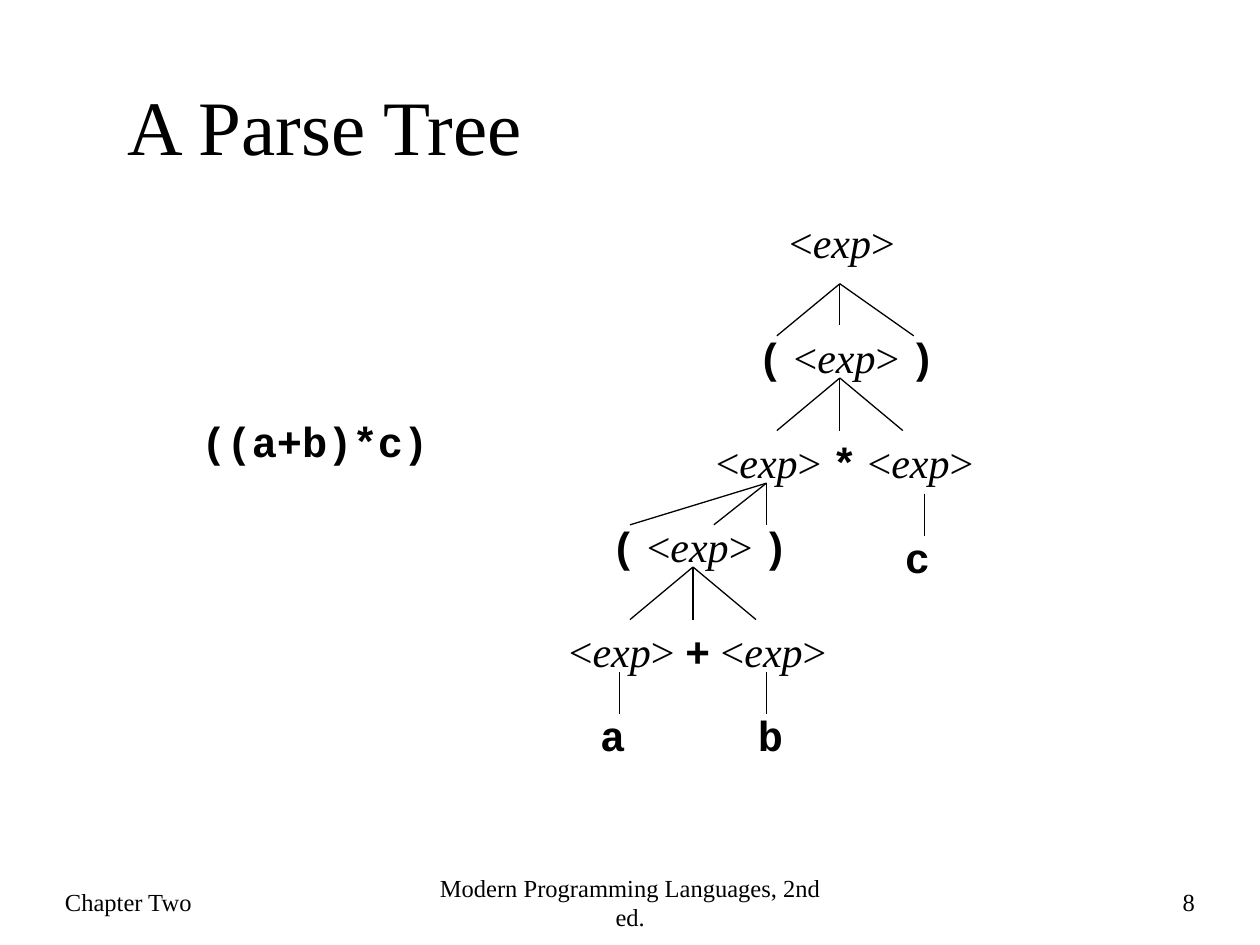
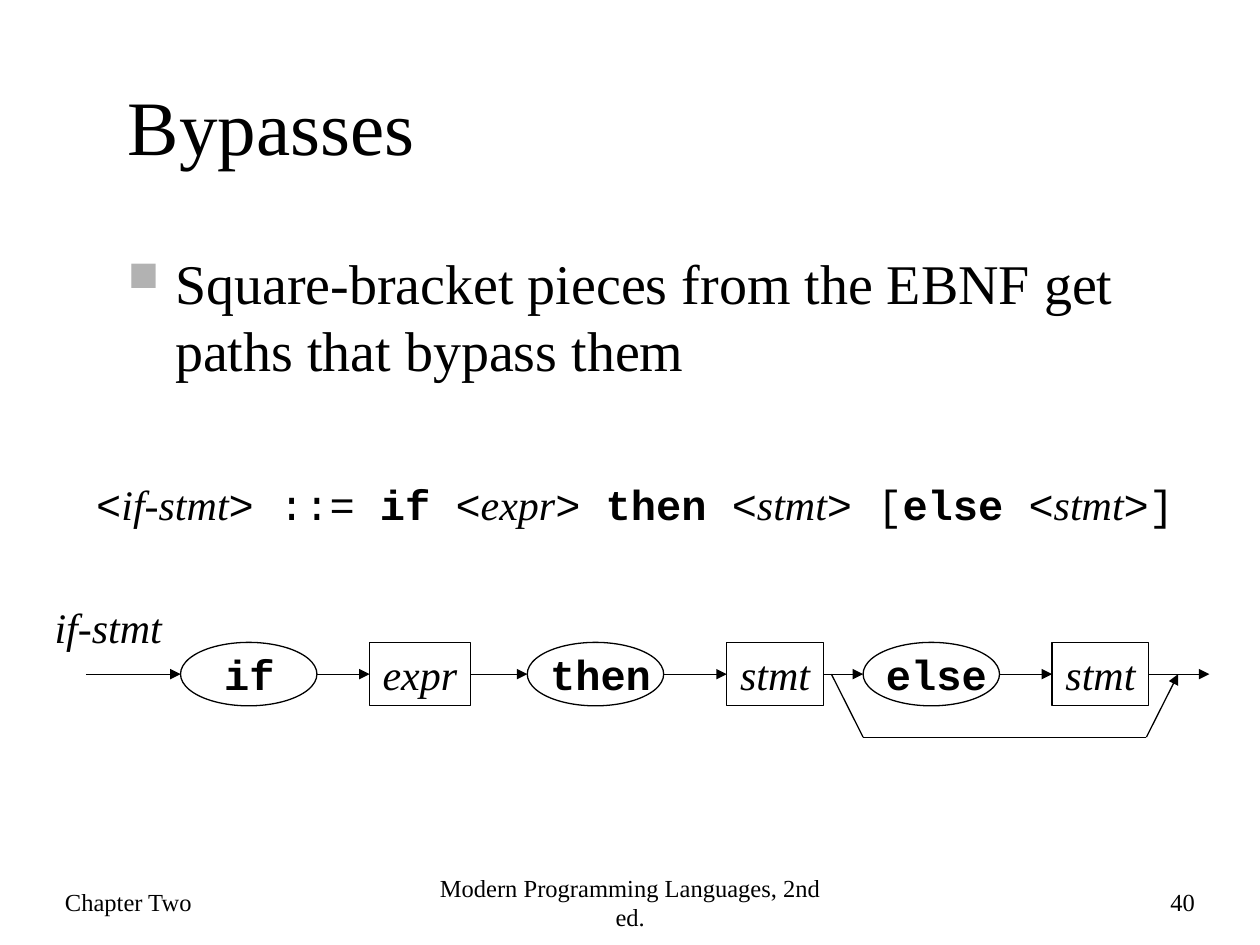
from lxml import etree
from pptx import Presentation
from pptx.dml.color import RGBColor
from pptx.enum.shapes import MSO_CONNECTOR, MSO_SHAPE
from pptx.enum.text import MSO_ANCHOR, PP_ALIGN
from pptx.oxml.ns import qn
from pptx.util import Cm, Pt

STRAIGHT = MSO_CONNECTOR.STRAIGHT
OVAL, RECTANGLE = MSO_SHAPE.OVAL, MSO_SHAPE.RECTANGLE
TOP, MIDDLE = MSO_ANCHOR.TOP, MSO_ANCHOR.MIDDLE
LEFT, CENTER, RIGHT = PP_ALIGN.LEFT, PP_ALIGN.CENTER, PP_ALIGN.RIGHT
LEFT_SIDE, RIGHT_SIDE = 1, 3

BLACK = RGBColor(0x00, 0x00, 0x00)
BULLET_GRAY = RGBColor(0xB2, 0xB2, 0xB2)
LINE_WIDTH = Pt(0.75)

# Text styles: font, bold, italic
SERIF = ("Times New Roman", False, False)
ITALIC = ("Times New Roman", False, True)
MONO = ("Courier New", False, False)
TOKEN = ("Courier New", True, False)


def add_text(page, spans, left, top, width, height=1.27, size=24, align=LEFT,
             anchor=TOP, wrap=True, space_before=0, outline=None):
    """Write (text, style) spans in a text box, or in an outlined shape; lengths in cm."""
    place = [Cm(length) for length in (left, top, width, height)]
    if outline is None:
        box = page.shapes.add_textbox(*place)
    else:
        box = page.shapes.add_shape(outline, *place)
        box.shadow.inherit = False
        box.fill.background()
        box.line.color.rgb = BLACK
        box.line.width = LINE_WIDTH
    frame = box.text_frame
    frame.word_wrap = wrap
    frame.vertical_anchor = anchor
    para = frame.paragraphs[0]
    para.alignment = align
    para.space_before = Pt(space_before)
    for text, (font, bold, italic) in spans:
        span = para.add_run()
        span.text = text
        span.font.name = font
        span.font.size = Pt(size)
        span.font.bold = bold
        span.font.italic = italic
        span.font.color.rgb = BLACK
    return box


def add_line(page, start, end, arrow=False):
    line = page.shapes.add_connector(STRAIGHT, *[Cm(length) for length in start + end])
    line.line.color.rgb = BLACK
    line.line.width = LINE_WIDTH
    if arrow:
        etree.SubElement(line.line._get_or_add_ln(), qn("a:tailEnd"), type="triangle")
    etree.SubElement(line._element.spPr, qn("a:effectLst"))
    return line


deck = Presentation()
deck.slide_width, deck.slide_height = Cm(25.4), Cm(19.05)

# Title and footer of every slide
pages = []
for title, number in (("A Parse Tree", "8"), ("Bypasses", "40")):
    page = deck.slides.add_slide(deck.slide_layouts[6])
    add_text(page, [(title, SERIF)], 2.33, 0.97, 21.59, 3.07, size=44, anchor=MIDDLE)
    for text, left, width, align in (
        ("Chapter Two", 1.06, 5.72, LEFT),
        ("Modern Programming Languages, 2nd ed.", 8.47, 8.47, CENTER),
        (number, 19.05, 5.29, RIGHT),
    ):
        add_text(page, [(text, SERIF)], left, 17.55, width, size=14,
                 align=align, anchor=MIDDLE)
    pages.append(page)
tree_page, bypass_page = pages

# Parse tree
EXP = [("<", SERIF), ("exp", ITALIC), (">", SERIF)]
SPACE = [(" ", SERIF)]
PARENTHESES = [("(", TOKEN)] + SPACE + EXP + SPACE + [(")", TOKEN)]
PRODUCT = EXP + SPACE + [("*", TOKEN)] + SPACE + EXP
SUM = EXP + SPACE + [("+", TOKEN)] + SPACE + EXP

for spans, left, top, width in (
    (EXP, 15.66, 4.23, 2.96),
    (PARENTHESES, 15.03, 6.56, 4.45),
    (PRODUCT, 14.18, 8.68, 7.2),
    (PARENTHESES, 12.07, 10.37, 4.45),
    (SUM, 11.22, 12.49, 6.14),
    ([("a", TOKEN)], 11.85, 14.18, 1.27),
    ([("b", TOKEN)], 15.03, 14.18, 1.27),
    ([("c", TOKEN)], 17.99, 10.58, 1.27),
    ([("((a+b)*c)", TOKEN)], 3.81, 8.26, 8.47),
):
    add_text(tree_page, spans, left, top, width)

for parent, children in (
    ((16.93, 5.72), [(15.66, 6.77), (16.93, 6.56), (18.42, 6.77)]),
    ((16.93, 7.62), [(15.66, 8.68), (16.93, 8.68), (18.2, 8.68)]),
    ((15.45, 9.74), [(12.7, 10.58), (14.39, 10.58), (15.45, 10.58)]),
    ((18.63, 9.95), [(18.63, 10.8)]),
    ((13.97, 11.43), [(12.7, 12.49), (13.97, 12.49), (15.24, 12.49)]),
    ((12.49, 13.55), [(12.49, 14.39)]),
    ((15.45, 13.55), [(15.45, 14.39)]),
):
    for child in children:
        add_line(tree_page, parent, child)

# Bulleted statement
statement = add_text(
    bypass_page,
    [("Square-bracket pieces from the EBNF get paths that bypass them", SERIF)],
    2.33, 4.88, 21.59, 6.15, size=32, space_before=6.4)
bullet = statement.text_frame.paragraphs[0]._p.get_or_add_pPr()
bullet.set("marL", str(Cm(0.95)))
bullet.set("indent", str(-Cm(0.95)))
bullet_color = etree.SubElement(bullet, qn("a:buClr"))
etree.SubElement(bullet_color, qn("a:srgbClr"), val=str(BULLET_GRAY))
etree.SubElement(bullet, qn("a:buSzPct"), val="75000")
etree.SubElement(bullet, qn("a:buChar"), char="■")

# Grammar rule
add_text(bypass_page, [
    ("<", MONO), ("if-stmt", ITALIC), ("> ::= ", MONO), ("if", TOKEN),
    (" <", MONO), ("expr", ITALIC), ("> ", MONO), ("then", TOKEN),
    (" <", MONO), ("stmt", ITALIC), ("> [", MONO), ("else", TOKEN),
    (" <", MONO), ("stmt", ITALIC), (">]", MONO),
], 1.69, 9.53, 22.86, space_before=12)

# Syntax diagram: stations along one track
TRACK_Y = 13.59
STATION_HEIGHT = 1.28
TRACK_START, TRACK_END = 1.73, 24.38
OVAL_WIDTH = 2.75
station_top = TRACK_Y - STATION_HEIGHT / 2

add_text(bypass_page, [("if-stmt", ITALIC)], 0.85, 12.01, 2.67, wrap=False)

previous, previous_right = None, TRACK_START
for word, left, width, label_left, label_width in (
    ("if", 3.64, OVAL_WIDTH, 4.27, 1.52),
    ("expr", 7.45, 2.03, None, None),
    ("then", 10.63, OVAL_WIDTH, 10.84, 2.54),
    ("stmt", 14.65, 1.95, None, None),
    ("else", 17.4, OVAL_WIDTH, 17.61, 2.54),
    ("stmt", 21.21, 1.95, None, None),
):
    arrow = add_line(bypass_page, (previous_right, TRACK_Y), (left, TRACK_Y), arrow=True)
    if previous is not None:
        arrow.begin_connect(previous, RIGHT_SIDE)
    if label_left is None:
        previous = add_text(bypass_page, [(word, ITALIC)], left, station_top, width,
                            STATION_HEIGHT, align=CENTER, anchor=MIDDLE, wrap=False,
                            outline=RECTANGLE)
        arrow.end_connect(previous, LEFT_SIDE)
    else:
        add_text(bypass_page, [], left, station_top, width, STATION_HEIGHT, outline=OVAL)
        add_text(bypass_page, [(word, TOKEN)], label_left, station_top, label_width,
                 wrap=False)
        previous = None
    previous_right = left + width
exit_arrow = add_line(bypass_page, (previous_right, TRACK_Y), (TRACK_END, TRACK_Y), arrow=True)
exit_arrow.begin_connect(previous, RIGHT_SIDE)

# Bypass under the optional else part
BYPASS_Y = TRACK_Y + 1.27
corners = [(16.76, TRACK_Y), (17.4, BYPASS_Y), (23.11, BYPASS_Y), (23.75, TRACK_Y)]
for start, end in zip(corners, corners[1:]):
    add_line(bypass_page, start, end, arrow=end == corners[-1])

deck.save("out.pptx")
